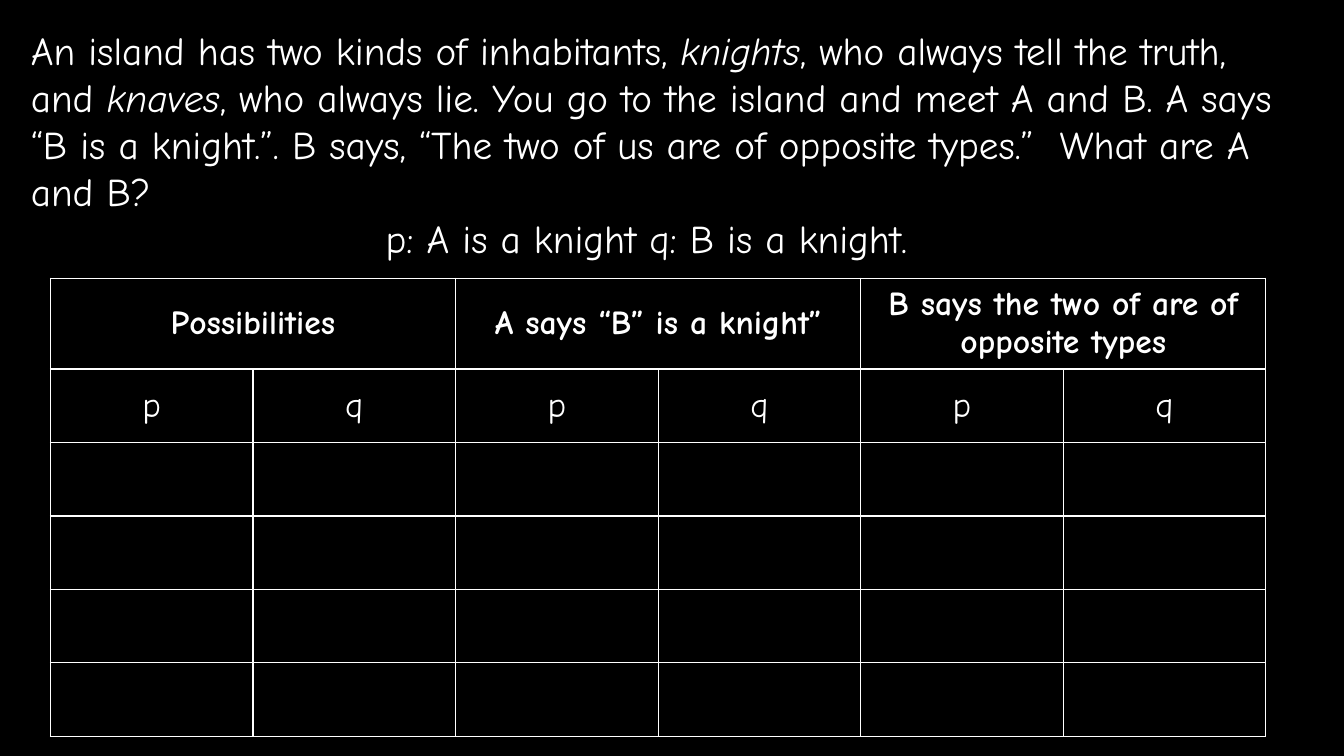
from lxml import etree
from pptx import Presentation
from pptx.dml.color import RGBColor
from pptx.enum.text import MSO_ANCHOR, MSO_AUTO_SIZE, PP_ALIGN
from pptx.oxml.ns import qn
from pptx.util import Cm, Pt

BLACK = RGBColor(0, 0, 0)
WHITE = RGBColor(255, 255, 255)
CENTER = PP_ALIGN.CENTER
LEFT = PP_ALIGN.LEFT
MIDDLE = MSO_ANCHOR.MIDDLE
GROW = MSO_AUTO_SIZE.SHAPE_TO_FIT_TEXT

PUZZLE = [
    ("An island has two kinds of inhabitants, ", False),
    ("knights", True),
    (", who always tell the truth, and ", False),
    ("knaves", True),
    (", who always lie. You go to the island and meet A and B. A says "
     "“B is a knight.”. B says, “The two of us are of opposite types.”  "
     "What are A and B?", False),
]
LEGEND = [("p: A is a knight q: B is a knight.  ", False)]
HEADS = [
    "Possibilities",
    "A says “B” is a knight”",
    "B says the two of are of opposite types",
]
VARS = ["p", "q"]
BLANKS = 4


class Board:
    def __init__(self, slide, face="Comic Neue", ink=WHITE, paper=BLACK):
        self.slide = slide
        self.face = face
        self.ink = ink
        self.paper = paper
        fill = slide.background.fill
        fill.solid()
        fill.fore_color.rgb = paper

    def style(self, para, size, align=CENTER, bold=False):
        para.alignment = align
        font = para.font
        font.name = self.face
        font.size = Pt(size)
        font.bold = bold
        font.color.rgb = self.ink

    def text(self, left, top, width, height, paras, size):
        box = self.slide.shapes.add_textbox(left, top, width, height)
        frame = box.text_frame
        frame.word_wrap = True
        frame.auto_size = GROW
        for i, (parts, align) in enumerate(paras):
            para = frame.add_paragraph() if i else frame.paragraphs[0]
            self.style(para, size, align)
            for words, slant in parts:
                run = para.add_run()
                run.text = words
                if slant:
                    run.font.italic = True

    def border(self, cell):
        props = cell._tc.get_or_add_tcPr()
        for i, side in enumerate(("a:lnL", "a:lnR", "a:lnT", "a:lnB")):
            line = etree.Element(qn(side), w=str(Pt(1)))
            fill = etree.SubElement(line, qn("a:solidFill"))
            etree.SubElement(fill, qn("a:srgbClr"), val=str(self.ink))
            props.insert(i, line)

    def label(self, cell, words, size, bold=False):
        para = cell.text_frame.paragraphs[0]
        para.text = words
        self.style(para, size, bold=bold)

    def table(self, left, top, width, head, high, heads, subs, blanks):
        rows = blanks + 2
        cols = len(heads) * len(subs)
        frame = self.slide.shapes.add_table(
            rows, cols, left, top, width, head + high * (rows - 1))
        grid = frame.table
        for i, row in enumerate(grid.rows):
            row.height = high if i else head
        for cell in grid.iter_cells():
            cell.fill.solid()
            cell.fill.fore_color.rgb = self.paper
            cell.vertical_anchor = MIDDLE
            self.border(cell)
        for i, words in enumerate(heads):
            first = i * len(subs)
            cell = grid.cell(0, first)
            cell.merge(grid.cell(0, first + len(subs) - 1))
            self.label(cell, words, 24, True)
            for j, name in enumerate(subs):
                self.label(grid.cell(1, first + j), name, 25)


def main():
    deck = Presentation()
    deck.slide_width = Cm(33.87)
    deck.slide_height = Cm(19.05)
    board = Board(deck.slides.add_slide(deck.slide_layouts[6]))
    board.text(Cm(0.53), Cm(0.53), Cm(32.18), Cm(6.25),
               [(PUZZLE, LEFT), (LEGEND, CENTER)], 28)
    board.table(Cm(1.27), Cm(7.01), Cm(30.63), Cm(2.29), Cm(1.85),
                HEADS, VARS, BLANKS)
    deck.save("out.pptx")


if __name__ == "__main__":
    main()
